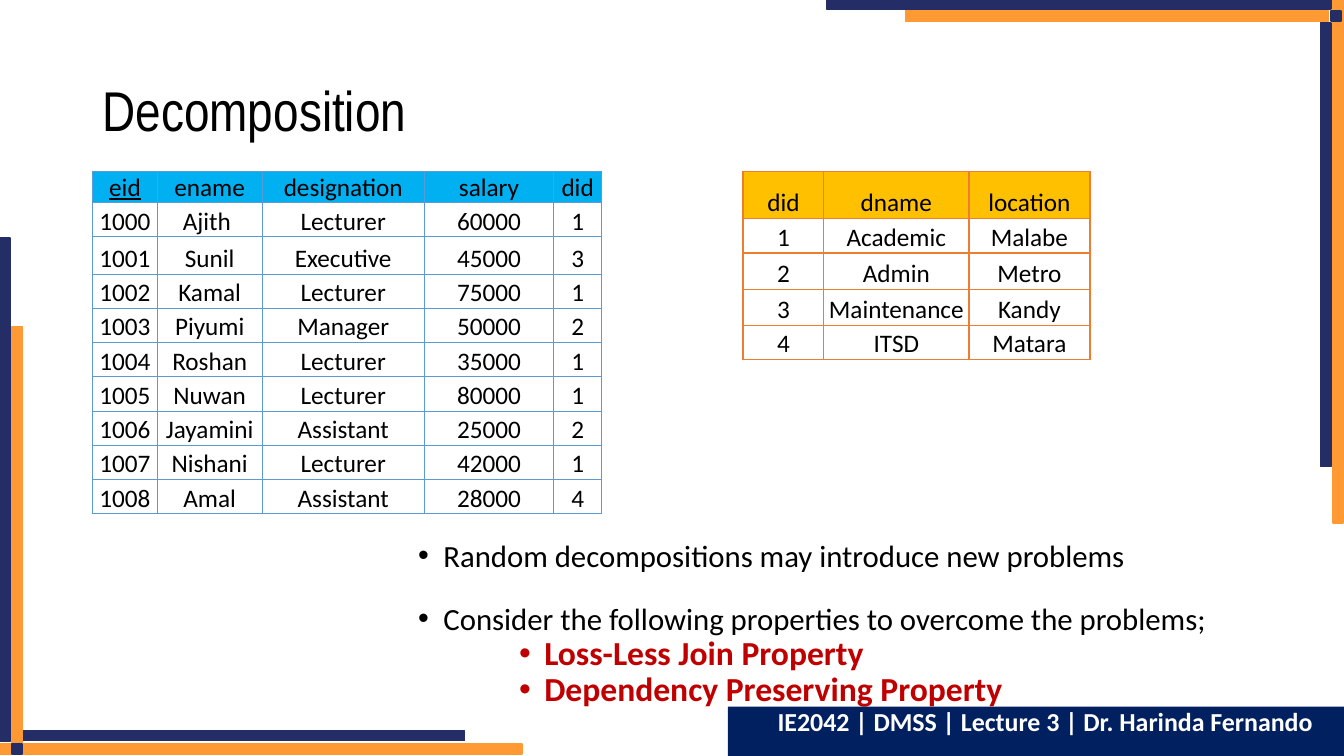
"""Build the Decomposition slide: two relation tables, key properties and a corner frame."""
from lxml import etree
from pptx import Presentation
from pptx.dml.color import RGBColor
from pptx.enum.shapes import MSO_SHAPE
from pptx.enum.text import MSO_ANCHOR, PP_ALIGN
from pptx.oxml.ns import qn
from pptx.util import Inches, Pt

RECTANGLE = MSO_SHAPE.RECTANGLE
TOP, MIDDLE, BOTTOM = MSO_ANCHOR.TOP, MSO_ANCHOR.MIDDLE, MSO_ANCHOR.BOTTOM
LEFT, CENTER = PP_ALIGN.LEFT, PP_ALIGN.CENTER

COLORS = {
    "navy": "242D66", "orange": "FF9933", "footer": "002060", "black": "000000",
    "white": "FFFFFF", "red": "C00000", "cyan": "00B0F0", "gold": "FFC000",
    "blue line": "5B9BD5", "orange line": "ED7D31",
}
WIDTH, HEIGHT = 13.33, 7.5
BAR = 0.1
MARGIN = 0.92

FRAME_BARS = [
    ("orange", 13.22, -0.01, BAR, 5.2),
    ("navy", 13.1, 0.23, BAR, 4.4),
    ("navy", 8.2, -0.01, 5, BAR),
    ("orange", 8.98, 0.11, 4.2, BAR),
    ("navy", 13.2, 0.11, BAR, BAR),
    ("orange", -0.02, 7.38, 5.2, BAR),
    ("navy", 0.21, 7.25, 4.4, BAR),
    ("navy", 0, 2.36, BAR, 5),
    ("orange", 0.12, 3.24, BAR, 4.2),
    ("navy", 0.12, 7.38, BAR, BAR),
]
EMPLOYEES = [
    ("eid", "ename", "designation", "salary", "did"),
    ("1000", "Ajith ", "Lecturer", "60000", "1"),
    ("1001", "Sunil", "Executive", "45000", "3"),
    ("1002", "Kamal", "Lecturer", "75000", "1"),
    ("1003", "Piyumi", "Manager", "50000", "2"),
    ("1004", "Roshan", "Lecturer", "35000", "1"),
    ("1005", "Nuwan", "Lecturer", "80000", "1"),
    ("1006", "Jayamini", "Assistant", "25000", "2"),
    ("1007", "Nishani", "Lecturer", "42000", "1"),
    ("1008", "Amal", "Assistant", "28000", "4"),
]
DEPARTMENTS = [
    ("did", "dname", "location"),
    ("1", "Academic", "Malabe"),
    ("2", "Admin", "Metro"),
    ("3", "Maintenance", "Kandy"),
    ("4", "ITSD", "Matara"),
]
TABLES = [
    dict(rows=EMPLOYEES, left=MARGIN, columns=[0.64, 1.04, 1.61, 1.28, 0.48],
         heights=[0.28, 0.34, 0.37] + [0.34] * 7, header="cyan", line="blue line", key="eid"),
    dict(rows=DEPARTMENTS, left=7.37, columns=[0.8, 1.44, 1.2],
         heights=[0.47, 0.34, 0.36, 0.36, 0.34], header="gold", line="orange line", key=None),
]
POINT = dict(size=22, spacing=1.7, indent=0.25, bullet=True)
PROPERTY = dict(size=24, spacing=0.9, indent=1.25, bullet=True, level=2, bold=True, color="red")
POINTS = [
    ("Random decompositions may introduce new problems", POINT),
    ("Consider the following properties to overcome the problems;", POINT),
    ("Loss-Less Join Property", PROPERTY),
    ("Dependency Preserving Property", PROPERTY),
]


def rgb(name):
    return RGBColor.from_string(COLORS[name])


def write(frame, text, size=18, font="Calibri", color="black", bold=False, underline=False,
          align=LEFT, spacing=1.0, before=0, indent=0, bullet=False, level=0):
    paragraph = frame.paragraphs[0]
    if paragraph.runs:
        paragraph = frame.add_paragraph()
    paragraph.alignment, paragraph.level = align, level
    paragraph.line_spacing, paragraph.space_before = spacing, Pt(before)
    properties = paragraph._p.get_or_add_pPr()
    properties.set("marL", str(Inches(indent)))
    if bullet:
        properties.set("indent", str(Inches(-0.25)))
        etree.SubElement(properties, qn("a:buFont"), typeface="Arial")
        etree.SubElement(properties, qn("a:buChar"), char="•")
    run = paragraph.add_run()
    run.text = text
    run.font.name, run.font.size = font, Pt(size)
    run.font.bold, run.font.underline = bold, underline
    run.font.color.rgb = rgb(color)


def add_bar(slide, color, left, top, width, height, outlined=True):
    shape = slide.shapes.add_shape(RECTANGLE, *map(Inches, (left, top, width, height)))
    shape.shadow.inherit = False
    shape.fill.solid()
    shape.fill.fore_color.rgb = rgb(color)
    if outlined:
        shape.line.color.rgb = rgb(color)
        shape.line.width = Pt(1)
    else:
        shape.line.fill.background()
    return shape


def add_text_frame(slide, left, top, width, height, anchor=TOP):
    frame = slide.shapes.add_textbox(*map(Inches, (left, top, width, height))).text_frame
    frame.word_wrap = True
    frame.vertical_anchor = anchor
    return frame


def add_borders(cell, color):
    properties = cell._tc.get_or_add_tcPr()
    for position, side in enumerate(("a:lnL", "a:lnR", "a:lnT", "a:lnB")):
        line = etree.Element(qn(side), w=str(Pt(1)))
        fill = etree.SubElement(line, qn("a:solidFill"))
        etree.SubElement(fill, qn("a:srgbClr"), val=COLORS[color])
        properties.insert(position, line)


def add_relation(slide, rows, left, columns, heights, header, line, key):
    table = slide.shapes.add_table(
        len(rows), len(columns), Inches(left), Inches(1.7),
        Inches(sum(columns)), Inches(sum(heights))).table
    table.horz_banding = False
    for column, width in zip(table.columns, columns):
        column.width = Inches(width)
    for row_index, values in enumerate(rows):
        table.rows[row_index].height = Inches(heights[row_index])
        for column_index, value in enumerate(values):
            cell = table.cell(row_index, column_index)
            cell.margin_left = cell.margin_right = cell.margin_top = Inches(0.01)
            cell.margin_bottom = 0
            cell.vertical_anchor = BOTTOM
            if row_index == 0:
                cell.fill.solid()
                cell.fill.fore_color.rgb = rgb(header)
            else:
                cell.fill.background()
            add_borders(cell, line)
            write(cell.text_frame, value, align=CENTER, underline=value == key)


def main():
    presentation = Presentation()
    presentation.slide_width, presentation.slide_height = Inches(WIDTH), Inches(HEIGHT)
    slide = presentation.slides.add_slide(presentation.slide_layouts[6])
    for bar in FRAME_BARS:
        add_bar(slide, *bar)
    title = add_text_frame(slide, MARGIN, 0.4, 11.5, 1.45, anchor=MIDDLE)
    write(title, "Decomposition", size=40, font="Arial Narrow", spacing=0.9)
    for relation in TABLES:
        add_relation(slide, **relation)
    body = add_text_frame(slide, 4.05, 5.02, 8.37, 2.48)
    for text, style in POINTS:
        write(body, text, **style)
    footer = add_bar(slide, "footer", 7.22, 7.01, 6.12, 0.49, outlined=False).text_frame
    footer.vertical_anchor = TOP
    write(footer, "IE2042 | DMSS | Lecture 3 | Dr. Harinda Fernando", size=18.5, color="white",
          bold=True, align=CENTER, spacing=0.8, before=8, indent=0.17)
    presentation.save("out.pptx")


if __name__ == "__main__":
    main()
